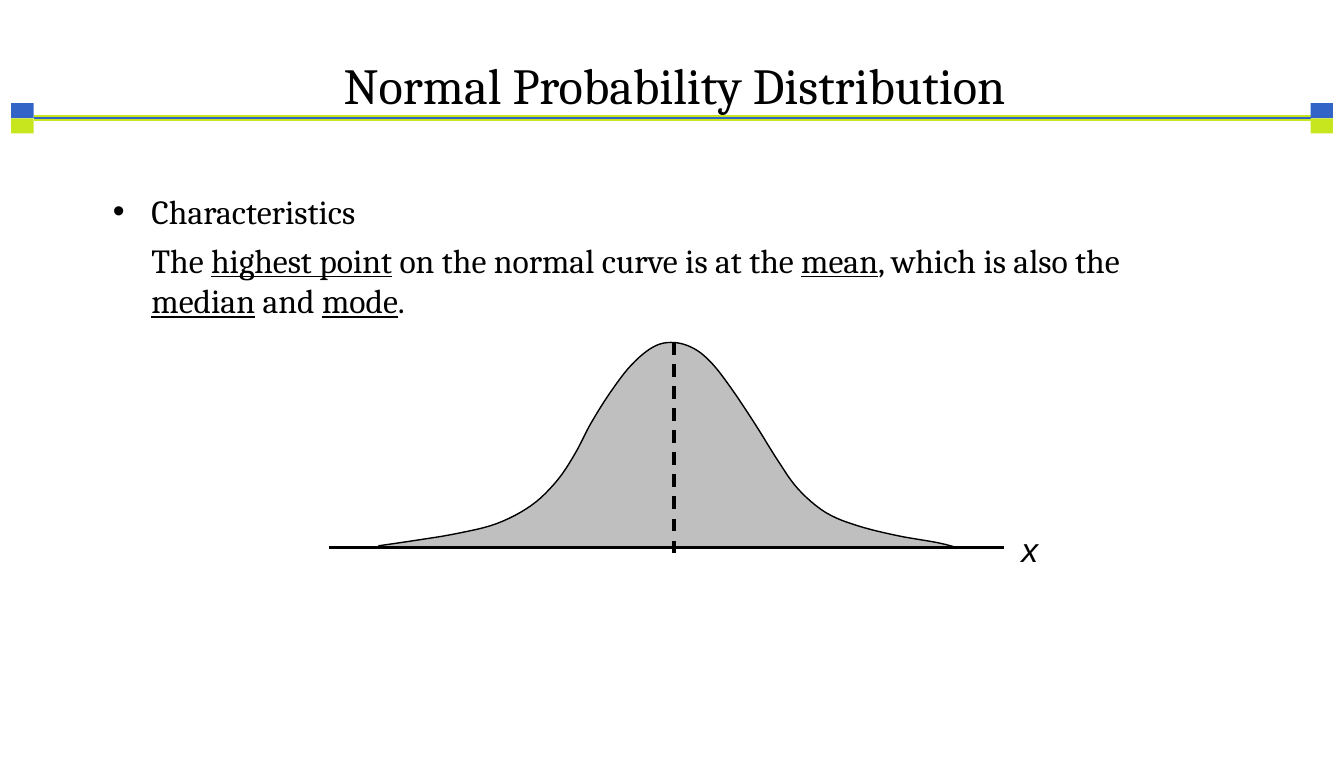
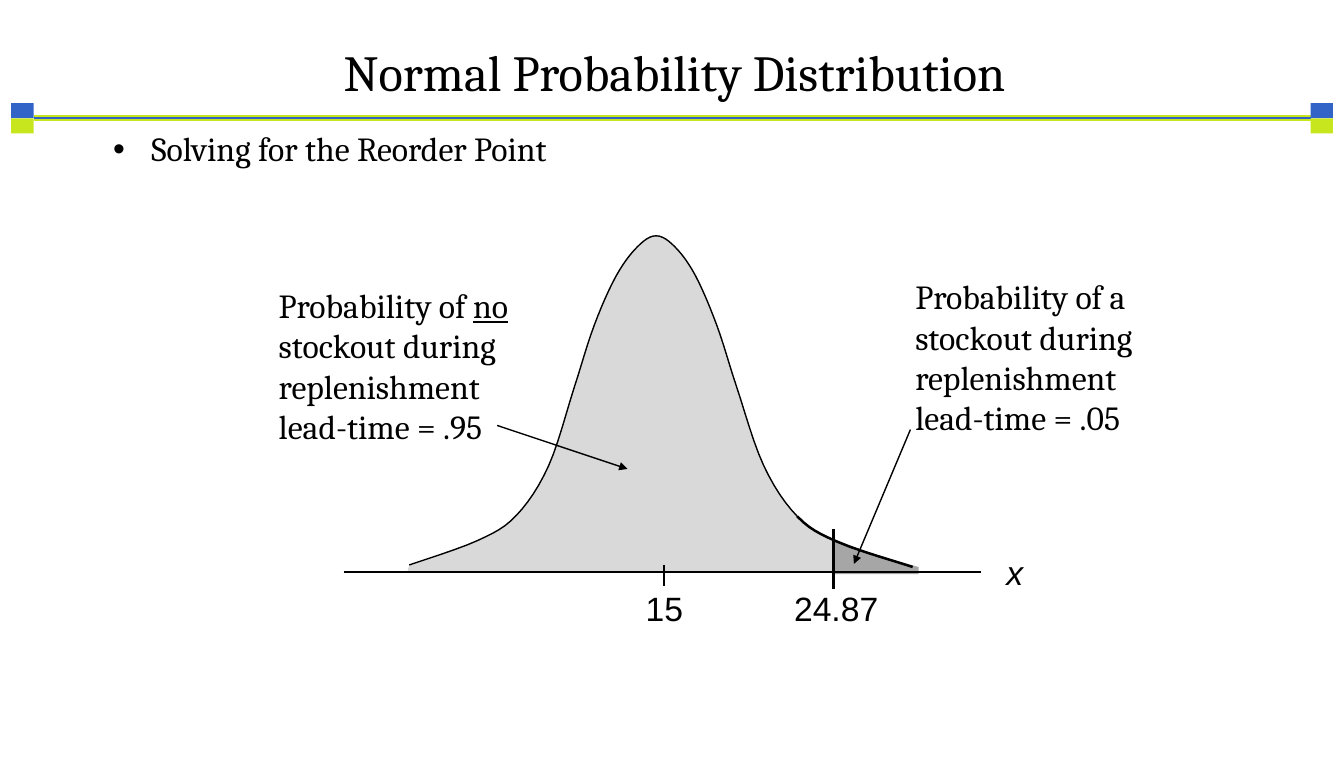
"""Build two slides on the normal probability distribution."""
from dataclasses import dataclass

from lxml import etree
from pptx import Presentation
from pptx.dml.color import RGBColor
from pptx.enum.dml import MSO_LINE_DASH_STYLE
from pptx.enum.shapes import MSO_CONNECTOR, MSO_SHAPE
from pptx.enum.text import MSO_ANCHOR, MSO_AUTO_SIZE, PP_ALIGN
from pptx.oxml.ns import qn
from pptx.slide import Slide
from pptx.util import Pt

STRAIGHT = MSO_CONNECTOR.STRAIGHT
DASH = MSO_LINE_DASH_STYLE.DASH
RECTANGLE = MSO_SHAPE.RECTANGLE
TOP, MIDDLE = MSO_ANCHOR.TOP, MSO_ANCHOR.MIDDLE
GROW = MSO_AUTO_SIZE.SHAPE_TO_FIT_TEXT
CENTER = PP_ALIGN.CENTER

COLORS = {"black": "000000", "blue": "3264C8", "lime": "C8E61E",
          "bell": "BFBFBF", "no_stockout": "D9D9D9", "stockout": "A6A6A6"}
SERIF, SANS = "Cambria", "Arial"
SLIDE_WIDTH, SLIDE_HEIGHT = 957.6, 540
RULE_Y, BLOCK_WIDTH, BLOCK_HEIGHT = 84.24, 16, 10.8
RULE_LEFT, RULE_RIGHT = 24, 933.8
CONTENT_LEFT, CONTENT_WIDTH = 73.44, 814.32
BULLET_INDENT = 27.36

Point = tuple[float, float]


@dataclass(frozen=True)
class Stroke:
    """A straight line between two points."""
    start: Point
    end: Point
    width: float = 1
    color: str = "black"
    dashed: bool = False
    arrow: bool = False


@dataclass(frozen=True)
class Label:
    """Text lines in a box; underscores enclose underlined words."""
    lines: tuple[str, ...]
    left: float
    top: float
    width: float
    height: float
    font: str = SERIF
    italic: bool = False
    wrap: bool = False
    bullet: bool = False
    middle: bool = False
    spacing: float = 1


BELL = [(270, 388.8), (296, 385), (325, 380.2), (354, 373), (378.7, 360),
        (396.7, 342.7), (409.7, 323.3), (421, 301.7), (435, 279.4),
        (450, 259.9), (465.8, 247), (480, 244), (494.6, 248.4),
        (507.6, 259.2), (522, 278), (538.6, 303), (554.4, 328.3),
        (568.8, 348.5), (588.2, 365), (610.6, 374.4), (639.4, 381.6),
        (668, 386.6), (682, 390.2)]
DEMAND = [(291.6, 402.5), (340.3, 385.1), (367.9, 367.2), (390.9, 331.8),
          (409, 276.5), (423.3, 232), (438.9, 196.8), (454, 176),
          (467.5, 168), (481, 176), (495.5, 196.4), (510.8, 232),
          (524.9, 275.8), (544.1, 331.6), (568.1, 367.9), (597.2, 386.2),
          (650.2, 403.9)]
STOCKOUT_EDGE = [(594, 384), (618.5, 393.5), (654.5, 404)]

BELL_STROKES = [
    Stroke((480.24, 244), (480.24, 397.4), 2.25, dashed=True),
    Stroke((234.72, 390.24), (715.68, 390.24), 2.25),
]
BELL_LABELS = [
    Label(("The _highest point_ on the normal curve is at the _mean_, "
           "which is also the _median_ and _mode_.",),
          100.8, 159.84, 751.68, 79.2, wrap=True, middle=True),
    Label(("Characteristics",), CONTENT_LEFT, 132.48, 367.2, 41,
          wrap=True, bullet=True),
    Label(("x",), 720.72, 372.96, 26.6, 36, SANS, italic=True),
]
REORDER_STROKES = [
    Stroke((473, 402.5), (473, 417.6)),
    Stroke((244.8, 407.5), (699.1, 407.5)),
    Stroke((593.7, 376.6), (593.7, 419.8), 2),
    Stroke((648.7, 306), (608.4, 401.8), arrow=True),
    Stroke((354.2, 303.1), (447.1, 334.1), arrow=True),
]
REORDER_LABELS = [
    Label(("Solving for the Reorder Point",), CONTENT_LEFT, 90.72,
          CONTENT_WIDTH, 34.56, wrap=True, bullet=True, spacing=0.9),
    Label(("15",), 452.9, 415.4, 41.8, 36, SANS),
    Label(("x",), 709.9, 389.5, 26.6, 36, SANS, italic=True),
    Label(("24.87",), 558.7, 415.4, 74.9, 36, SANS),
    Label(("Probability of a", "stockout during", "replenishment",
           "lead-time = .05"), 645.1, 193, 177.8, 123.8),
    Label(("Probability of _no_", "stockout during", "replenishment",
           "lead-time = .95"), 191.5, 199.4, 186.5, 123.8),
]


def rgb(name: str) -> RGBColor:
    """Return the named palette colour."""
    return RGBColor.from_string(COLORS[name])


def smooth(knots: list[Point], steps: int = 6) -> list[Point]:
    """Return points on a Catmull-Rom curve through the knots."""
    padded = [knots[0], *knots, knots[-1]]
    points = [knots[0]]
    for a, b, c, d in zip(padded, padded[1:], padded[2:], padded[3:]):
        for step in range(1, steps + 1):
            t = step / steps
            x, y = (
                q + (r - p) * t / 2 + (2 * p - 5 * q + 4 * r - s) * t**2 / 2
                + (3 * q - p - 3 * r + s) * t**3 / 2
                for p, q, r, s in zip(a, b, c, d))
            points.append((x, y))
    return points


def draw_outline(slide: Slide, points: list[Point], fill: str | None = None,
                 width: float = 0) -> None:
    """Draw a filled area, or an open curve when there is no fill."""
    corners = [(Pt(x), Pt(y)) for x, y in points]
    builder = slide.shapes.build_freeform(*corners[0])
    builder.add_line_segments(corners[1:], close=fill is not None)
    outline = builder.convert_to_shape()
    outline.shadow.inherit = False
    if fill:
        outline.fill.solid()
        outline.fill.fore_color.rgb = rgb(fill)
    else:
        outline.fill.background()
    if width:
        outline.line.width = Pt(width)
        outline.line.color.rgb = rgb("black")
    else:
        outline.line.fill.background()


def draw_stroke(slide: Slide, stroke: Stroke) -> None:
    """Draw one line, dashed or with an arrowhead if asked."""
    ends = [Pt(value) for value in (*stroke.start, *stroke.end)]
    connector = slide.shapes.add_connector(STRAIGHT, *ends)
    connector.line.width = Pt(stroke.width)
    connector.line.color.rgb = rgb(stroke.color)
    if stroke.dashed:
        connector.line.dash_style = DASH
    properties = connector._element.spPr
    if stroke.arrow:
        etree.SubElement(properties.find(qn("a:ln")), qn("a:tailEnd"),
                         type="triangle")
    etree.SubElement(properties, qn("a:effectLst"))


def draw_label(slide: Slide, label: Label) -> None:
    """Write the lines of a label in a text box."""
    box = slide.shapes.add_textbox(Pt(label.left), Pt(label.top),
                                   Pt(label.width), Pt(label.height))
    frame = box.text_frame
    frame.word_wrap = label.wrap
    if not label.wrap:
        frame.auto_size = GROW
    frame.vertical_anchor = MIDDLE if label.middle else TOP
    for index, line in enumerate(label.lines):
        paragraph = frame.add_paragraph() if index else frame.paragraphs[0]
        paragraph.line_spacing = label.spacing
        if label.bullet:
            properties = paragraph._p.get_or_add_pPr()
            properties.set("marL", str(Pt(BULLET_INDENT)))
            properties.set("indent", str(-Pt(BULLET_INDENT)))
            etree.SubElement(properties, qn("a:buFont"), typeface=SANS)
            etree.SubElement(properties, qn("a:buChar"), char="•")
        for part, words in enumerate(line.split("_")):
            run = paragraph.add_run()
            run.text = words
            if part % 2:
                run.font.underline = True
        paragraph.font.name = label.font
        paragraph.font.size = Pt(24)
        paragraph.font.italic = label.italic
        paragraph.font.color.rgb = rgb("black")


def draw_band(slide: Slide) -> None:
    """Draw the double rule with a pair of blocks at each end."""
    for color, width in (("lime", 4.5), ("blue", 1.75)):
        draw_stroke(slide, Stroke((RULE_LEFT, RULE_Y), (RULE_RIGHT, RULE_Y),
                                  width, color))
    for left in (RULE_LEFT - BLOCK_WIDTH, RULE_RIGHT):
        for top, color in ((RULE_Y - BLOCK_HEIGHT, "blue"), (RULE_Y, "lime")):
            block = slide.shapes.add_shape(
                RECTANGLE, Pt(left), Pt(top), Pt(BLOCK_WIDTH),
                Pt(BLOCK_HEIGHT))
            block.shadow.inherit = False
            block.fill.solid()
            block.fill.fore_color.rgb = rgb(color)
            block.line.fill.background()


def add_titled_slide(deck: Presentation, top: float, height: float) -> Slide:
    """Add a slide with the shared band and title."""
    slide = deck.slides.add_slide(deck.slide_layouts[5])
    draw_band(slide)
    title = slide.shapes.title
    title.left, title.top = Pt(CONTENT_LEFT), Pt(top)
    title.width, title.height = Pt(CONTENT_WIDTH), Pt(height)
    title.text_frame.text = "Normal Probability Distribution"
    title.text_frame.vertical_anchor = MIDDLE
    heading = title.text_frame.paragraphs[0]
    heading.alignment = CENTER
    heading.line_spacing = 0.9
    heading.font.name = SERIF
    heading.font.size = Pt(36)
    heading.font.color.rgb = rgb("black")
    slide.shapes._spTree.append(title._element)
    return slide


def draw_details(slide: Slide, strokes: list[Stroke],
                 labels: list[Label]) -> None:
    """Draw the lines and labels around a curve."""
    for stroke in strokes:
        draw_stroke(slide, stroke)
    for label in labels:
        draw_label(slide, label)


def build_characteristics(deck: Presentation) -> None:
    """Build the slide on the highest point of the curve."""
    slide = add_titled_slide(deck, 40.32, 45.36)
    draw_outline(slide, [*smooth(BELL), (270, 390.2)], "bell", 1)
    draw_details(slide, BELL_STROKES, BELL_LABELS)


def build_reorder_point(deck: Presentation) -> None:
    """Build the slide on solving for the reorder point."""
    slide = add_titled_slide(deck, 21.6, 64.08)
    curve = smooth(DEMAND)
    draw_outline(slide, [*curve, (653.8, 408.2), (290, 408.2)], "no_stockout")
    draw_outline(slide, [*STOCKOUT_EDGE, (654.5, 409), (594, 409)],
                 "stockout")
    draw_outline(slide, curve, width=1)
    draw_outline(slide, [point for point in curve if point[0] >= 568],
                 width=1.75)
    draw_details(slide, REORDER_STROKES, REORDER_LABELS)


def main() -> None:
    """Build and save the deck."""
    deck = Presentation()
    deck.slide_width, deck.slide_height = Pt(SLIDE_WIDTH), Pt(SLIDE_HEIGHT)
    build_characteristics(deck)
    build_reorder_point(deck)
    deck.save("out.pptx")


if __name__ == "__main__":
    main()
